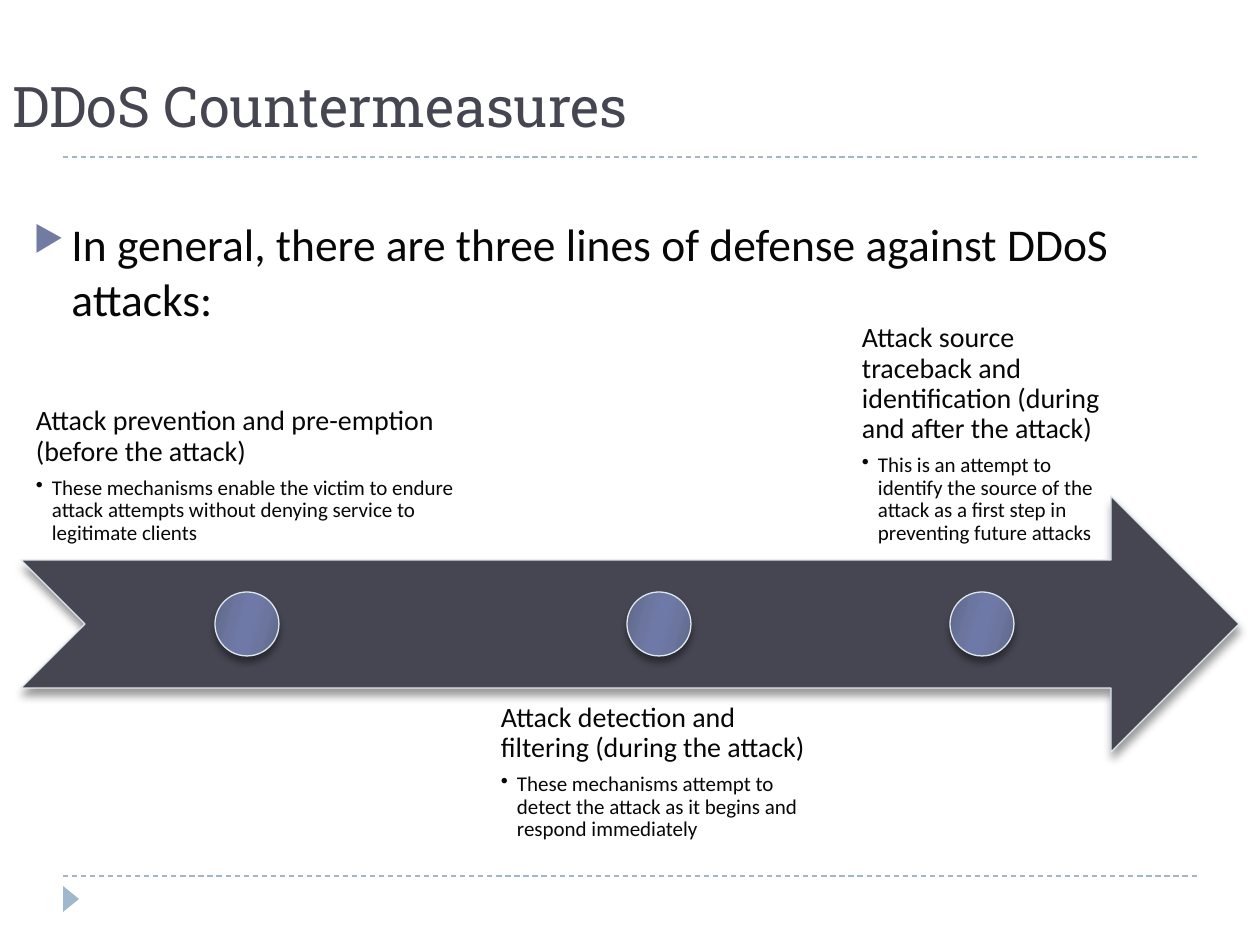
"""Build the DDoS countermeasures timeline slide."""
from dataclasses import dataclass
from typing import Optional

from lxml.etree import SubElement
from pptx import Presentation
from pptx.dml.color import RGBColor
from pptx.enum.dml import MSO_LINE
from pptx.enum.shapes import MSO_CONNECTOR, MSO_SHAPE
from pptx.enum.text import MSO_ANCHOR
from pptx.oxml import parse_xml
from pptx.oxml.ns import nsdecls, qn
from pptx.util import Pt

EMU_PER_INCH = 914400
PX_PER_INCH = 126
SLIDE_W, SLIDE_H = 1260, 945
BAND_H = 256
ARROW_LEFT, ARROW_TOP, ARROW_W = 21, 496, 1218
DOT = 64
STAGE_INSET = 15


@dataclass(frozen=True)
class Theme:
    heading_font: str = "Roboto Slab"
    body_font: str = "Calibri"
    dark: str = "464653"
    text: str = "070708"
    rule: str = "9FB8CD"
    outline: str = "DDE9EC"
    marker: str = "727CA3"
    shadow: str = "000000"
    dot_stops: tuple = ((0, "5D6585"), (30, "6B759E"), (45, "6E79A7"),
                        (55, "6E79A7"), (73, "6B759E"), (100, "5D6585"))
    title_size: int = 32
    lead_size: int = 26
    stage_size: int = 16
    detail_size: int = 12


@dataclass(frozen=True)
class Box:
    left: int
    top: int
    width: int
    height: int

    def emu(self) -> tuple:
        return tuple(px(n) for n in (self.left, self.top, self.width, self.height))


@dataclass(frozen=True)
class Stage:
    left: int
    width: int
    above: bool
    heading: str
    detail: str


@dataclass(frozen=True)
class Bullet:
    char: str
    indent: int
    color: Optional[str] = None
    percent: int = 100


THEME = Theme()
STAGES = (
    Stage(21, 452, True, "Attack prevention and pre-emption (before the attack)",
          "These mechanisms enable the victim to endure attack attempts without "
          "denying service to legitimate clients"),
    Stage(486, 347, False, "Attack detection and filtering (during the attack)",
          "These mechanisms attempt to detect the attack as it begins and respond immediately"),
    Stage(847, 271, True,
          "Attack source traceback and identification (during and after the attack)",
          "This is an attempt to identify the source of the attack as a first step in "
          "preventing future attacks"),
)


def px(length: int) -> int:
    return round(length * EMU_PER_INCH / PX_PER_INCH)


def rgb(color: str) -> RGBColor:
    return RGBColor.from_string(color)


def add_frame(slide, box: Box, anchor=MSO_ANCHOR.TOP, inset: Optional[int] = None):
    frame = slide.shapes.add_textbox(*box.emu()).text_frame
    frame.word_wrap = True
    frame.vertical_anchor = anchor
    if inset is not None:
        frame.margin_left = frame.margin_right = px(inset)
        frame.margin_top = frame.margin_bottom = px(inset)
    return frame


def write(frame, text: str, *, size: int, font: str = THEME.body_font,
          color: str = THEME.text, line_spacing: float = 1.0, before: float = 0,
          after: float = 0, bullet: Optional[Bullet] = None) -> None:
    paragraph = frame.paragraphs[0]
    if paragraph.runs:
        paragraph = frame.add_paragraph()
    paragraph.line_spacing = line_spacing
    paragraph.space_before, paragraph.space_after = Pt(before), Pt(after)
    run = paragraph.add_run()
    run.text = text
    run.font.size, run.font.name = Pt(size), font
    run.font.color.rgb = rgb(color)
    if bullet:
        properties = paragraph._p.get_or_add_pPr()
        properties.set("marL", str(px(bullet.indent)))
        properties.set("indent", str(-px(bullet.indent)))
        tint = SubElement(properties, qn("a:buClr"))
        SubElement(tint, qn("a:srgbClr"), val=bullet.color or color)
        SubElement(properties, qn("a:buSzPct"), val=str(bullet.percent * 1000))
        SubElement(properties, qn("a:buChar"), char=bullet.char)


def add_rule(slide, y: int) -> None:
    rule = slide.shapes.add_connector(
        MSO_CONNECTOR.STRAIGHT, px(63), px(y), px(SLIDE_W - 63), px(y))
    rule.line.color.rgb = rgb(THEME.rule)
    rule.line.width = Pt(0.75)
    rule.line.dash_style = MSO_LINE.DASH
    SubElement(rule._element.spPr, qn("a:effectLst"))


def add_solid(slide, kind, box: Box, fill: str):
    shape = slide.shapes.add_shape(kind, *box.emu())
    shape.shadow.inherit = False
    shape.fill.solid()
    shape.fill.fore_color.rgb = rgb(fill)
    shape.line.fill.background()
    return shape


def add_raised(slide, kind, box: Box, fill: str):
    shape = add_solid(slide, kind, box, fill)
    shape.line.color.rgb = rgb(THEME.outline)
    shape.line.width = Pt(0.75)
    effects = shape._element.spPr.find(qn("a:effectLst"))
    shadow = SubElement(effects, qn("a:outerShdw"), blurRad=str(Pt(4)),
                        dist=str(Pt(3.4)), dir="5400000", rotWithShape="0")
    tint = SubElement(shadow, qn("a:srgbClr"), val=THEME.shadow)
    SubElement(tint, qn("a:alpha"), val="40000")
    return shape


def add_dot(slide, center: int) -> None:
    top = ARROW_TOP + (BAND_H - DOT) // 2
    dot = add_raised(slide, MSO_SHAPE.OVAL, Box(center - DOT // 2, top, DOT, DOT), THEME.marker)
    stops = "".join(f'<a:gs pos="{place * 1000}"><a:srgbClr val="{color}"/></a:gs>'
                    for place, color in THEME.dot_stops)
    gradient = parse_xml(f'<a:gradFill {nsdecls("a")} rotWithShape="1"><a:gsLst>{stops}'
                         '</a:gsLst><a:lin ang="960000" scaled="0"/></a:gradFill>')
    properties = dot._element.spPr
    properties.replace(properties.find(qn("a:solidFill")), gradient)


def add_stage(slide, stage: Stage) -> None:
    shaft_top = ARROW_TOP + BAND_H // 4
    top = shaft_top - BAND_H if stage.above else shaft_top + BAND_H // 2
    anchor = MSO_ANCHOR.BOTTOM if stage.above else MSO_ANCHOR.TOP
    frame = add_frame(slide, Box(stage.left, top, stage.width, BAND_H), anchor, STAGE_INSET)
    write(frame, stage.heading, size=THEME.stage_size, line_spacing=0.9, after=5.6)
    write(frame, stage.detail, size=THEME.detail_size, line_spacing=0.9, after=1.8,
          bullet=Bullet("•", 16))
    add_dot(slide, stage.left + stage.width // 2)


def main() -> None:
    deck = Presentation()
    deck.slide_width, deck.slide_height = px(SLIDE_W), px(SLIDE_H)
    slide = deck.slides.add_slide(deck.slide_layouts[6])
    for y in (876, 157):
        add_rule(slide, y)
    corner = add_solid(slide, MSO_SHAPE.ISOSCELES_TRIANGLE, Box(58, 891, 26, 16), THEME.rule)
    corner.rotation = 90
    title = add_frame(slide, Box(0, 9, SLIDE_W, 136), MSO_ANCHOR.BOTTOM)
    write(title, "DDoS Countermeasures", size=THEME.title_size,
          font=THEME.heading_font, color=THEME.dark)
    lead = add_frame(slide, Box(21, 210, 1239, 630))
    write(lead, "In general, there are three lines of defense against DDoS attacks:",
          size=THEME.lead_size, before=6, bullet=Bullet("▶", 38, THEME.marker, 76))
    add_raised(slide, MSO_SHAPE.NOTCHED_RIGHT_ARROW,
               Box(ARROW_LEFT, ARROW_TOP, ARROW_W, BAND_H), THEME.dark)
    for stage in STAGES:
        add_stage(slide, stage)
    deck.save("out.pptx")


if __name__ == "__main__":
    main()
